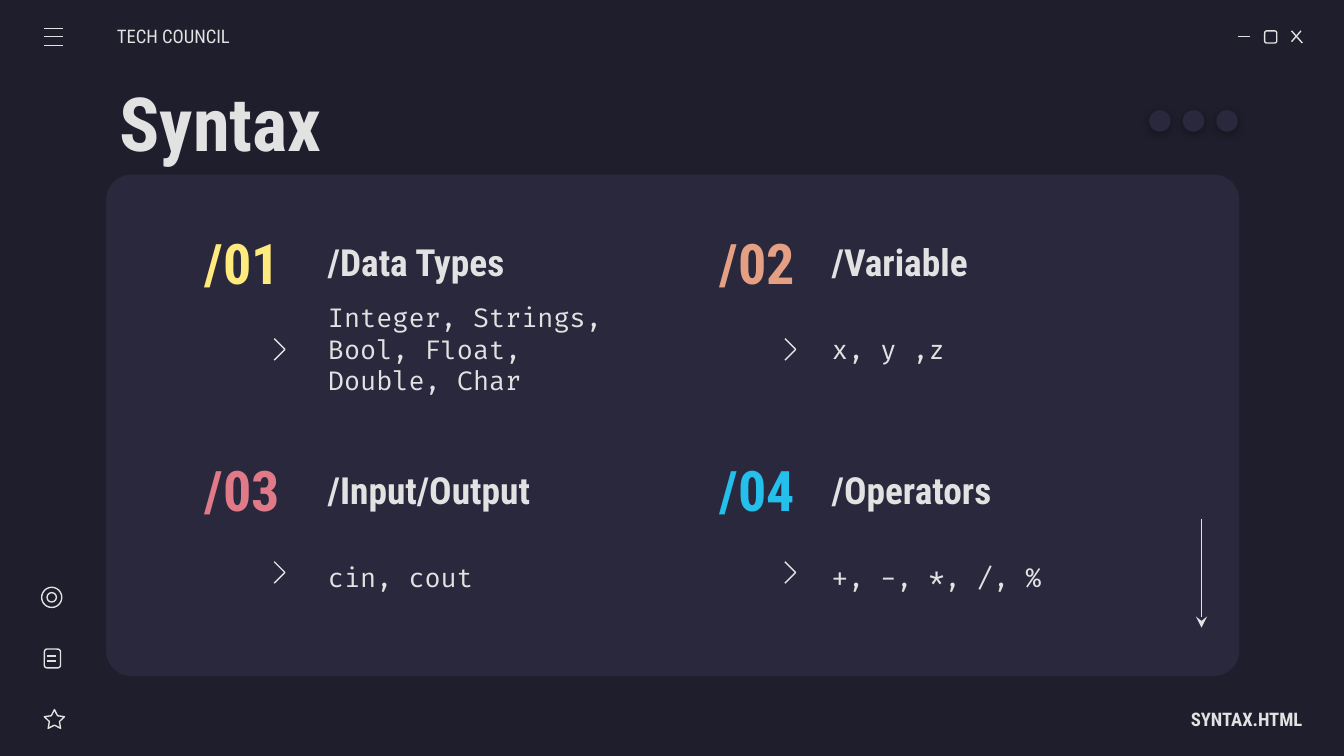
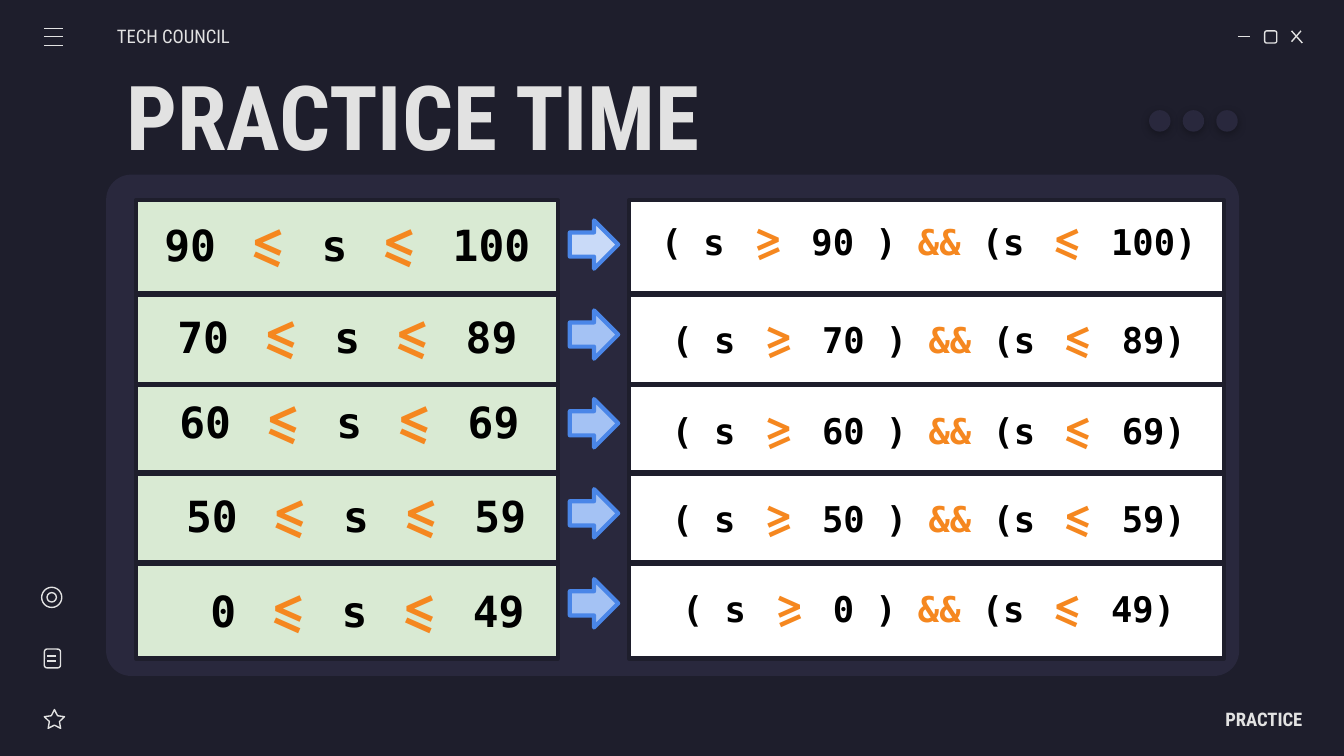
from dataclasses import dataclass
from itertools import groupby, product

from lxml.etree import SubElement
from pptx import Presentation
from pptx.dml.color import RGBColor
from pptx.enum.shapes import MSO_CONNECTOR as Connector, MSO_SHAPE as Preset
from pptx.enum.text import MSO_ANCHOR as Anchor, MSO_AUTO_SIZE as AutoSize, PP_ALIGN as Align
from pptx.oxml.ns import qn
from pptx.util import Emu, Pt

PX = 9144


@dataclass(frozen=True)
class Theme:
    """Colours, fonts and type sizes of the deck."""

    background: str = "1E1E2C"
    panel: str = "29283D"
    light: str = "E2E2E2"
    dark: str = "000000"
    operator: str = "F5871F"
    range_fill: str = "D9EAD3"
    condition_fill: str = "FFFFFF"
    arrow_line: str = "4A86E8"
    arrow_first: str = "C9DAF8"
    arrow_fill: str = "A4C2F4"
    numbers: tuple = ("FFEA7D", "E5A083", "E07A88", "24BFEB")
    sans: str = "Roboto Condensed"
    code: str = "Fira Code"
    mono: str = "DejaVu Sans Mono"
    label_size: int = 10
    body_size: int = 14
    condition_size: int = 19
    heading_size: int = 20
    range_size: int = 23
    number_size: int = 30
    title_size: int = 40
    big_title_size: int = 48
    thin: float = 0.75
    border: float = 2.25
    divider: float = 3


THEME = Theme()

SECTIONS = (
    ("/Data Types", "Integer, Strings, Bool, Float, Double, Char"),
    ("/Variable", "x, y ,z"),
    ("/Input/Output", "cin, cout"),
    ("/Operators", "+, -, *, /, %"),
)
SECTION_ROWS = ((167, 222, 252), (336, 392, 418))
SECTION_COLUMNS = ((135, 204, 234), (518, 584, 609))

GRADES = (
    (90, 100, (111, 153, 295, 59), 154),
    (70, 89, (111, 221, 295, 59), 227),
    (60, 69, (96, 284, 328, 59), 294),
    (50, 59, (101, 354, 328, 59), 360),
    (0, 49, (126, 425, 295, 59), 427),
)


def rgb(color):
    """Turn a hex string into a colour."""
    return RGBColor.from_string(color)


def emu(*lengths):
    """Turn px lengths into EMU."""
    return [Emu(length * PX) for length in lengths]


def row_offset(row):
    """Return the distance of a grade row from the first one."""
    return round(row * 200 / 3)


def style_outline(shape, fill, line, weight):
    """Set fill and outline, either of which may be absent, and drop the shadow."""
    shape.shadow.inherit = False
    if fill:
        shape.fill.solid()
        shape.fill.fore_color.rgb = rgb(fill)
    else:
        shape.fill.background()
    if line:
        shape.line.color.rgb = rgb(line)
        shape.line.width = Pt(weight)
    else:
        shape.line.fill.background()


def add_preset(page, preset, area, fill=None, line=None, weight=THEME.thin, adjust=None):
    """Add a preset shape."""
    shape = page.shapes.add_shape(preset, *emu(*area))
    if adjust is not None:
        shape.adjustments[0] = adjust
    style_outline(shape, fill, line, weight)
    return shape


def add_line(page, ends, color=THEME.light, weight=THEME.thin, arrow=False):
    """Add a straight line, optionally with a stealth arrowhead at its end."""
    line = page.shapes.add_connector(Connector.STRAIGHT, *emu(*ends))
    line.line.color.rgb = rgb(color)
    line.line.width = Pt(weight)
    properties = line._element.spPr
    if arrow:
        SubElement(properties.find(qn("a:ln")), qn("a:tailEnd"), type="stealth")
    SubElement(properties, qn("a:effectLst"))


def add_chevron(page, x, y):
    """Add an open chevron that points right."""
    builder = page.shapes.build_freeform(x, y, scale=PX)
    builder.add_line_segments([(x + 8, y + 8), (x, y + 16)], close=False)
    style_outline(builder.convert_to_shape(), None, THEME.light, THEME.thin)


def add_dot(page, x):
    """Add a panel-coloured dot with a soft shadow."""
    dot = add_preset(page, Preset.OVAL, (x, 82, 16, 16), THEME.panel)
    effects = dot._element.spPr.find(qn("a:effectLst"))
    shadow = SubElement(effects, qn("a:outerShdw"), blurRad="57150", dist="19050",
                        dir="5400000", algn="bl", rotWithShape="0")
    color = SubElement(shadow, qn("a:srgbClr"), val=THEME.dark)
    SubElement(color, qn("a:alpha"), val="30000")


def write_text(box, text, size, font=THEME.sans, color=THEME.light, bold=False,
               align=Align.LEFT, left=10, right=10):
    """Write one uniformly formatted paragraph, centred vertically."""
    frame = box.text_frame
    frame.word_wrap = True
    frame.auto_size = AutoSize.NONE
    frame.vertical_anchor = Anchor.MIDDLE
    frame.margin_left, frame.margin_top, frame.margin_right, frame.margin_bottom = emu(
        left, 10, right, 10)
    frame.text = text
    para = frame.paragraphs[0]
    para.alignment = align
    para.space_before = Pt(0)
    para.font.name = font
    para.font.size = Pt(size)
    para.font.bold = bold
    para.font.color.rgb = rgb(color)
    return para


def add_text(page, area, text, size, **style):
    """Add a text box with one paragraph."""
    write_text(page.shapes.add_textbox(*emu(*area)), text, size, **style)


def fill_placeholder(page, box, area, text, size, **style):
    """Move a placeholder to the front and into place, and write its text."""
    page.shapes._spTree.append(box._element)
    box.left, box.top, box.width, box.height = emu(*area)
    para = write_text(box, text, size, **style)
    properties = para._p.get_or_add_pPr()
    properties.set("marL", "0")
    properties.set("indent", "0")
    properties.insert_element_before(
        properties.makeelement(qn("a:buNone")), "a:tabLst", "a:defRPr", "a:extLst")


def code_style(token):
    """Return the font and colour of a code token."""
    if token in ("<=", ">="):
        return THEME.code, THEME.operator
    return THEME.mono, THEME.operator if token == "&&" else THEME.dark


def add_code(page, area, text, size):
    """Add a centred line of code with coloured operators."""
    box = page.shapes.add_textbox(*emu(*area))
    frame = box.text_frame
    frame.word_wrap = True
    frame.auto_size = AutoSize.SHAPE_TO_FIT_TEXT
    frame.margin_left, frame.margin_top, frame.margin_right, frame.margin_bottom = emu(
        10, 10, 10, 10)
    para = frame.paragraphs[0]
    para.alignment = Align.CENTER
    para.font.size = Pt(size)
    para.font.bold = True
    spans = [(style, " ".join(tokens)) for style, tokens in groupby(text.split(), code_style)]
    for index, ((font, color), words) in enumerate(spans, 1):
        span = para.add_run()
        span.text = words if index == len(spans) else words + " "
        span.font.name = font
        span.font.color.rgb = rgb(color)


def add_window_icons(page):
    """Add the menu, the window buttons and the side icons."""
    for y in (21, 27, 34):
        add_line(page, (33, y, 47, y))
    for ends in ((921, 27, 930, 27), (961, 23, 969, 32), (968, 23, 961, 31),
                 (35, 488, 42, 488), (35, 492, 42, 492)):
        add_line(page, ends)
    for preset, area, adjust in (
        (Preset.ROUNDED_RECTANGLE, (941, 23, 9, 9), None),
        (Preset.ROUNDED_RECTANGLE, (33, 483, 12, 14), None),
        (Preset.OVAL, (31, 437, 15, 15), None),
        (Preset.OVAL, (35, 441, 7, 7), None),
        (Preset.STAR_5_POINT, (33, 528, 15, 14), 0.25),
    ):
        add_preset(page, preset, area, line=THEME.light, adjust=adjust)


def add_page(deck, layout, title, title_area, title_size, footer):
    """Add a slide with the shared window frame, title and labels."""
    page = deck.slides.add_slide(deck.slide_layouts.get_by_name(layout))
    add_preset(page, Preset.ROUNDED_RECTANGLE, (79, 130, 843, 373), THEME.panel, adjust=0.05)
    add_window_icons(page)
    for x in (855, 880, 905):
        add_dot(page, x)
    add_text(page, (87, 12, 117, 30), "TECH COUNCIL", THEME.label_size, left=0)
    add_text(page, (852, 520, 117, 30), footer, THEME.label_size, bold=True,
             align=Align.RIGHT, right=0)
    fill_placeholder(page, page.shapes.title, title_area, title, title_size, bold=True)
    return page


def add_syntax_page(deck):
    """Add the overview of four syntax topics."""
    page = add_page(deck, "Comparison", "Syntax", (79, 59, 843, 63), THEME.title_size,
                    "SYNTAX.HTML")
    cells = product(SECTION_ROWS, SECTION_COLUMNS)
    for index, ((heading, body), (row, column)) in enumerate(zip(SECTIONS, cells), 1):
        heading_y, body_y, chevron_y = row
        number_x, chevron_x, text_x = column
        add_text(page, (number_x, heading_y, 91, 56), f"/{index:02}", THEME.number_size,
                 color=THEME.numbers[index - 1], bold=True, align=Align.CENTER)
        add_text(page, (text_x, heading_y, 256, 56), heading, THEME.heading_size, bold=True)
        fill_placeholder(page, page.placeholders[index], (text_x, body_y, 256, 75), body,
                         THEME.body_size, font=THEME.code)
        add_chevron(page, chevron_x, chevron_y)
    add_line(page, (894, 386, 894, 467), arrow=True)


def add_ruled_box(page, x, width, fill):
    """Add a bordered box that is ruled into five rows."""
    add_preset(page, Preset.RECTANGLE, (x, 149, width, 341), fill, THEME.background,
               THEME.border)
    for row in range(4):
        y = 219 + row_offset(row)
        add_line(page, (x + 1, y, x + width - 1, y), THEME.background, THEME.divider)


def add_practice_page(deck):
    """Add the exercise that turns ranges into conditions."""
    page = add_page(deck, "Title Only", "PRACTICE TIME", (84, 54, 843, 63),
                    THEME.big_title_size, "PRACTICE")
    add_ruled_box(page, 101, 314, THEME.range_fill)
    add_ruled_box(page, 468, 443, THEME.condition_fill)
    for row, (low, high, range_area, condition_y) in enumerate(GRADES):
        add_code(page, range_area, f"{low} <= s <= {high}", THEME.range_size)
        add_preset(page, Preset.RIGHT_ARROW, (424, 164 + row_offset(row), 36, 36),
                   THEME.arrow_fill if row else THEME.arrow_first, THEME.arrow_line,
                   THEME.border)
        add_code(page, (478, condition_y, 426, 52), f"( s >= {low} ) && (s <= {high})",
                 THEME.condition_size)


def main():
    """Build and save the deck."""
    deck = Presentation()
    deck.slide_width = Emu(1000 * PX)
    deck.slide_height = Emu(deck.slide_width * 9 // 16)
    backdrop = deck.slide_master.background.fill
    backdrop.solid()
    backdrop.fore_color.rgb = rgb(THEME.background)
    add_syntax_page(deck)
    add_practice_page(deck)
    deck.save("out.pptx")


if __name__ == "__main__":
    main()
